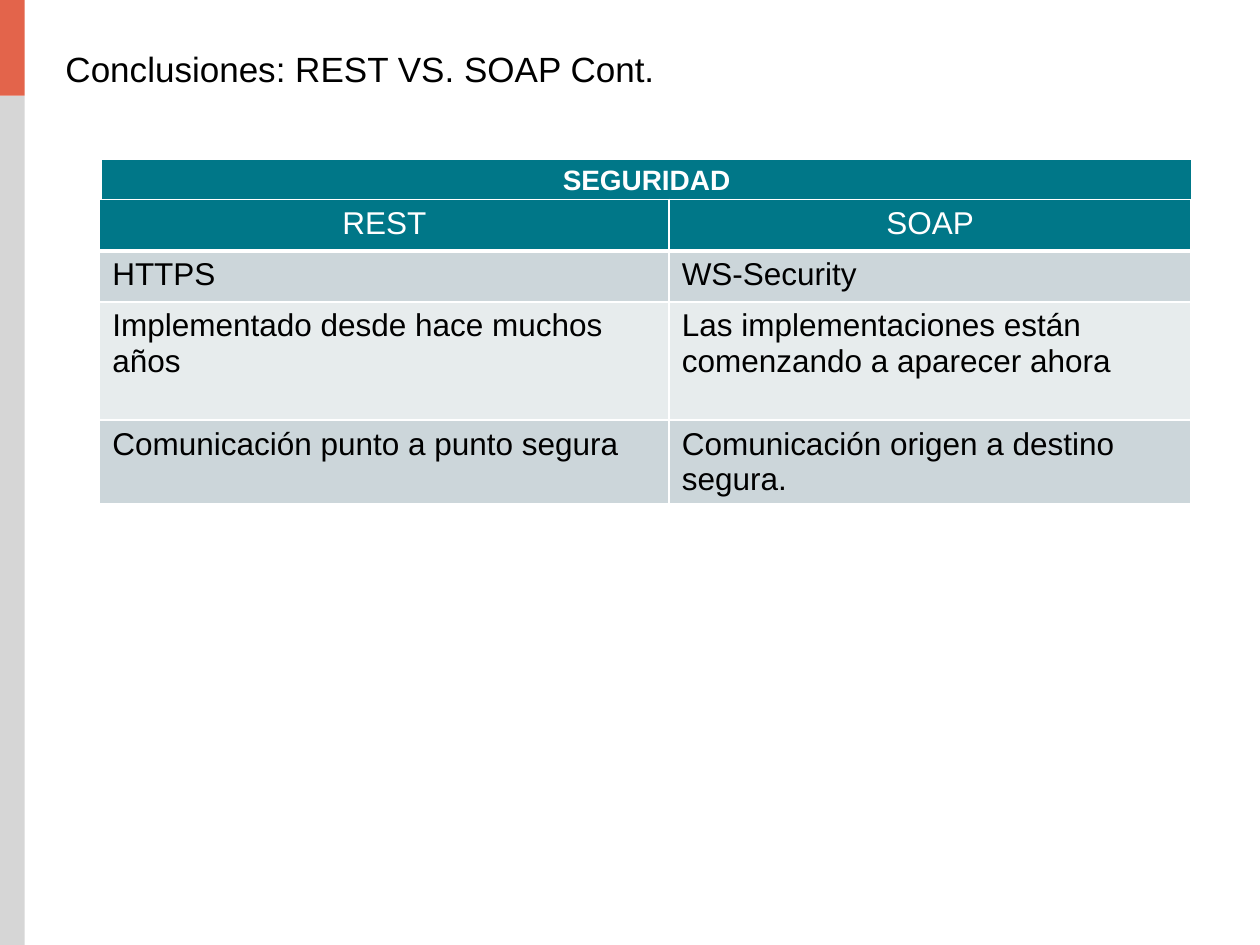
from lxml.etree import SubElement
from pptx import Presentation
from pptx.dml.color import RGBColor as Rgb
from pptx.enum.shapes import MSO_SHAPE as Shape
from pptx.enum.text import MSO_ANCHOR as Anchor, PP_ALIGN as Align
from pptx.oxml.ns import qn
from pptx.util import Cm, Pt

COLORS = {"grey": "D6D6D6", "orange": "E3644B", "teal": "007788",
          "band": "CCD6DA", "light": "E7ECED", "white": "FFFFFF", "black": "000000"}
ROWS = [("REST", "SOAP"),
        ("HTTPS", "WS-Security"),
        ("Implementado desde hace muchos años",
         "Las implementaciones están comenzando a aparecer ahora"),
        ("Comunicación punto a punto segura", "Comunicación origen a destino segura.")]
ROW_FILLS = ["teal", "band", "light", "band"]
ROW_HEIGHTS = [1.04, 1.03, 2.38, 1.65]
COLUMN_WIDTHS = [11.48, 10.52]


def style(paragraph, size, color, align=Align.LEFT, bold=False):
    """Format a whole paragraph."""
    paragraph.alignment = align
    font = paragraph.font
    font.name, font.size, font.bold = "Arial", Pt(size), bold
    font.color.rgb = Rgb.from_string(COLORS[color])


def add_block(slide, left, top, width, height, color):
    """Add a plain filled rectangle, in centimetres."""
    block = slide.shapes.add_shape(Shape.RECTANGLE, Cm(left), Cm(top), Cm(width), Cm(height))
    block.shadow.inherit = False
    block.fill.solid()
    block.fill.fore_color.rgb = Rgb.from_string(COLORS[color])
    block.line.fill.background()
    return block


def add_side_bar(slide, left, top, width, height):
    """Draw the grey side bar with its orange head."""
    head = 1.93
    add_block(slide, left, top + head, width, height - head, "grey")
    add_block(slide, left, top, width, head, "orange")


def set_title(slide, left, top, width, height):
    """Place and fill the title placeholder."""
    title = slide.shapes.title
    title.left, title.top, title.width, title.height = map(Cm, (left, top, width, height))
    frame = title.text_frame
    frame.margin_left = frame.margin_right = frame.margin_top = frame.margin_bottom = 0
    frame.vertical_anchor = Anchor.MIDDLE
    frame.text = "Conclusiones: REST VS. SOAP Cont."
    style(frame.paragraphs[0], 20, "black")


def set_borders(cell, bottom):
    """Give a cell white borders, the bottom one with its own width."""
    properties = cell._tc.get_or_add_tcPr()
    for side, points in (("L", 1), ("R", 1), ("T", 1), ("B", bottom)):
        line = SubElement(properties, qn(f"a:ln{side}"), w=str(Pt(points)))
        SubElement(SubElement(line, qn("a:solidFill")), qn("a:srgbClr"), val=COLORS["white"])


def add_comparison(slide, left, top):
    """Draw the heading band and the table below it."""
    band_height = 0.79
    band = add_block(slide, left + 0.05, top, sum(COLUMN_WIDTHS) - 0.05, band_height, "teal")
    frame = band.text_frame
    frame.margin_left = frame.margin_right = frame.margin_top = frame.margin_bottom = 0
    frame.text = "SEGURIDAD"
    style(frame.paragraphs[0], 16, "white", Align.CENTER, True)

    table = slide.shapes.add_table(
        len(ROWS), len(COLUMN_WIDTHS), Cm(left), Cm(top + band_height),
        Cm(sum(COLUMN_WIDTHS)), Cm(sum(ROW_HEIGHTS))).table
    for column, width in zip(table.columns, COLUMN_WIDTHS):
        column.width = Cm(width)
    for r, (texts, fill, height) in enumerate(zip(ROWS, ROW_FILLS, ROW_HEIGHTS)):
        table.rows[r].height = Cm(height)
        header = r == 0
        for c, text in enumerate(texts):
            cell = table.cell(r, c)
            set_borders(cell, 3 if header else 1)
            cell.fill.solid()
            cell.fill.fore_color.rgb = Rgb.from_string(COLORS[fill])
            cell.text = text
            style(cell.text_frame.paragraphs[0], 18, "white" if header else "black",
                  Align.CENTER if header else Align.LEFT)


def main():
    """Build and save the slide."""
    deck = Presentation()
    deck.slide_width, deck.slide_height = Cm(25.4), Cm(19.05)
    slide = deck.slides.add_slide(deck.slide_layouts[5])
    add_side_bar(slide, 0, 0, 0.5, 19.05)
    set_title(slide, 1.32, 0.97, 23.47, 0.81)
    add_comparison(slide, 2.01, 3.23)
    deck.save("out.pptx")


main()
